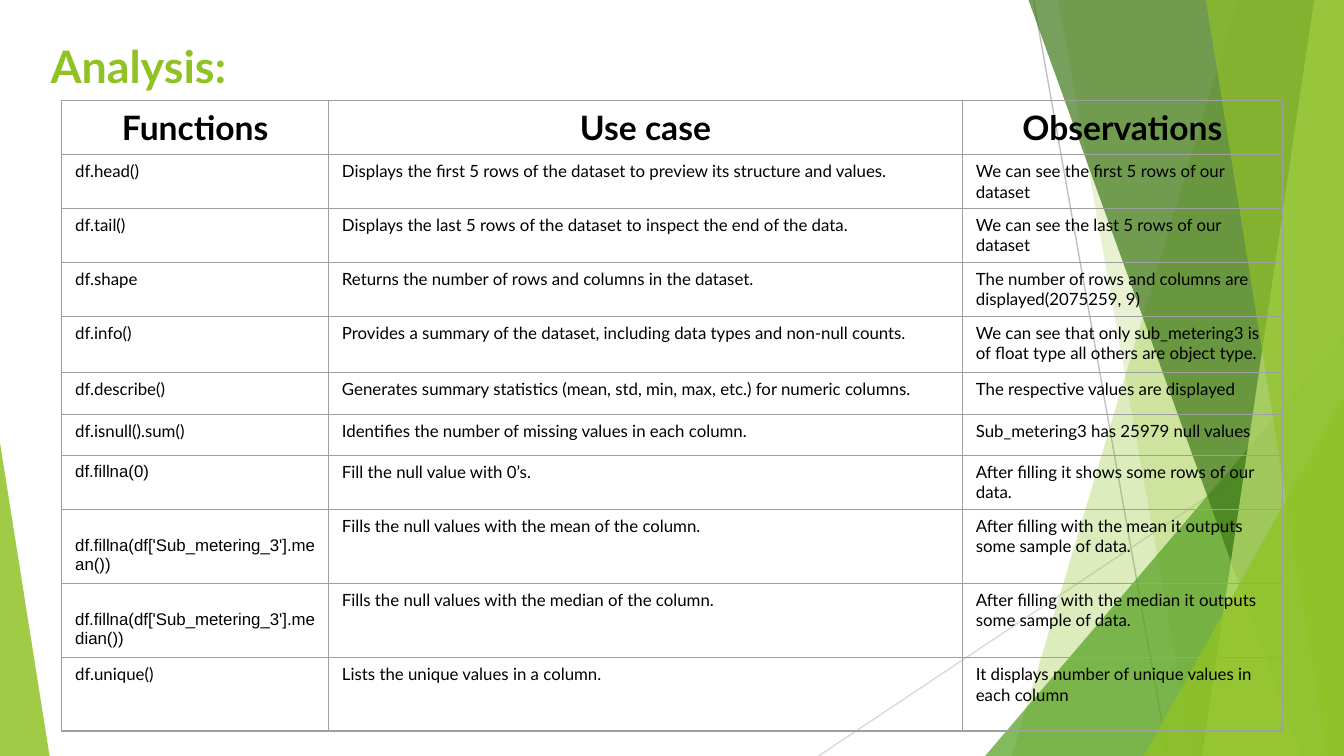
from lxml import etree
from pptx import Presentation
from pptx import util as u
from pptx.dml import color
from pptx.enum import shapes, text
from pptx.oxml import ns

Pt = u.Pt
GREEN = "90C226"
FONT = "Lato"
WIDTH, HEIGHT = 720, 405

HEADERS = ["Functions", "Use case", "Observations"]
COL_WIDTHS = [142.9, 339.6, 171.4]
ROWS = [
    (28.8, "df.head()",
     "Displays the first 5 rows of the dataset to preview its structure and values.",
     "We can see the first 5 rows of our dataset"),
    (28.8, "df.tail()",
     "Displays the last 5 rows of the dataset to inspect the end of the data.",
     "We can see the last 5 rows of our dataset"),
    (28.8, "df.shape",
     "Returns the number of rows and columns in the dataset.",
     "The number of rows and columns are displayed(2075259, 9)"),
    (30, "df.info()",
     "Provides a summary of the dataset, including data types and non-null counts.",
     "We can see that only sub_metering3 is of float type all others are object type."),
    (22.7, "df.describe()",
     "Generates summary statistics (mean, std, min, max, etc.) for numeric columns.",
     "The respective values are displayed"),
    (21.9, "df.isnull().sum()",
     "Identifies the number of missing values in each column.",
     "Sub_metering3 has 25979 null values"),
    (28.8, "df.fillna(0)",
     "Fill the null value with 0’s.",
     "After filling it shows some rows of our data."),
    (38.8, "df.fillna(df['Sub_metering_3'].mean())",
     "Fills the null values with the mean of the column.",
     "After filling with the mean it outputs some sample of data."),
    (39.4, "df.fillna(df['Sub_metering_3'].median())",
     "Fills the null values with the median of the column.",
     "After filling with the median it outputs some sample of data."),
    (39.4, "df.unique()",
     "Lists the unique values in a column.",
     "It displays number of unique values in each column"),
]


def rgb(value):
    return color.RGBColor.from_string(value)


def paint(sp, fill, opacity):
    sp.shadow.inherit = False
    sp.fill.solid()
    sp.fill.fore_color.rgb = rgb(fill)
    sp.line.fill.background()
    clr = sp.fill._xPr.find(".//" + ns.qn("a:srgbClr"))
    etree.SubElement(clr, ns.qn("a:alpha"), val=str(opacity * 1000))


def add_line(s, x1, y1, x2, y2, stroke):
    line = s.shapes.add_connector(
        shapes.MSO_CONNECTOR.STRAIGHT, Pt(x1), Pt(y1), Pt(x2), Pt(y2))
    line.line.color.rgb = rgb(stroke)
    line.line.width = Pt(0.75)
    etree.SubElement(line._element.spPr, ns.qn("a:effectLst"))


def add_band(s, right, top, bottom, x_top, x_bottom, fill, opacity):
    builder = s.shapes.build_freeform(x_top, top, scale=Pt(1))
    builder.add_line_segments([(right, top), (right, bottom), (x_bottom, bottom)])
    paint(builder.convert_to_shape(), fill, opacity)


def add_triangle(s, x, y, w, h, apex, fill, opacity):
    sp = s.shapes.add_shape(
        shapes.MSO_SHAPE.ISOSCELES_TRIANGLE, Pt(x), Pt(y), Pt(w), Pt(h))
    sp.adjustments[0] = apex
    paint(sp, fill, opacity)


def add_facets(s, x, y, w, h):
    right, bottom = x + w, y + h

    def band(from_right_top, from_right_bottom, fill, opacity):
        add_band(s, right, y, bottom, right - from_right_top,
                 right - from_right_bottom, fill, opacity)

    def corner(tw, th, fill, opacity):
        add_triangle(s, right - tw, bottom - th, tw, th, 1, fill, opacity)

    add_line(s, right - 166.3, y, right - 94.3, bottom, "BFBFBF")
    add_line(s, right, bottom - 187.5, right - 281.5, bottom, "D9D9D9")
    band(57, 178, GREEN, 30)
    band(152.6, 81.4, GREEN, 20)
    corner(192.2, 224.8, "54A021", 72)
    band(168.8, 23, "3F7819", 70)
    band(16, 76.3, "C0E474", 70)
    band(74.2, 8.6, GREEN, 65)
    corner(107.3, 193, GREEN, 80)
    add_triangle(s, x, bottom - 168, 26.6, 168, 0, GREEN, 85)


def add_title(s, x, y, w, h):
    tf = s.shapes.add_textbox(Pt(x), Pt(y), Pt(w), Pt(h)).text_frame
    tf.word_wrap = True
    tf.margin_left = tf.margin_right = tf.margin_top = tf.margin_bottom = Pt(7.2)
    p = tf.paragraphs[0]
    p.text = "Analysis:"
    p.font.name, p.font.size, p.font.bold = FONT, Pt(24), True
    p.font.color.rgb = rgb(GREEN)


def add_borders(cell):
    tc_pr = cell._tc.get_or_add_tcPr()
    for i, side in enumerate(("lnL", "lnR", "lnT", "lnB")):
        ln = etree.Element(ns.qn("a:" + side), w=str(Pt(0.75)))
        fill = etree.SubElement(ln, ns.qn("a:solidFill"))
        etree.SubElement(fill, ns.qn("a:srgbClr"), val="9E9E9E")
        tc_pr.insert(i, ln)


def fill_cell(cell, value, size, font=FONT, header=False):
    cell.fill.background()
    add_borders(cell)
    p = cell.text_frame.paragraphs[0]
    p.text = value
    p.alignment = text.PP_ALIGN.CENTER if header else text.PP_ALIGN.LEFT
    p.font.name, p.font.size, p.font.bold = font, Pt(size), header
    p.font.color.rgb = rgb("000000")


def add_functions_table(s, x, y):
    heights = [28.8] + [row[0] for row in ROWS]
    table = s.shapes.add_table(
        len(heights), len(HEADERS), Pt(x), Pt(y),
        Pt(sum(COL_WIDTHS)), Pt(sum(heights))).table
    table.first_row = table.horz_banding = False
    for column, width in zip(table.columns, COL_WIDTHS):
        column.width = Pt(width)
    for row, height in zip(table.rows, heights):
        row.height = Pt(height)
    for c, header in enumerate(HEADERS):
        fill_cell(table.cell(0, c), header, 18, header=True)
    for r, (_, *values) in enumerate(ROWS, 1):
        for c, value in enumerate(values):
            cell = table.cell(r, c)
            font = "Arial" if value.startswith("df.fillna") else FONT
            fill_cell(cell, value, 9, font)
            if value.startswith("df.fillna(df"):
                cell.margin_top = Pt(14.4)


def main():
    prs = Presentation()
    prs.slide_width, prs.slide_height = Pt(WIDTH), Pt(HEIGHT)
    s = prs.slides.add_slide(prs.slide_layouts[6])
    add_facets(s, 0, 0, WIDTH, HEIGHT)
    add_title(s, 20, 13.7, 607, 45.4)
    add_functions_table(s, 33.1, 54)
    prs.save("out.pptx")


if __name__ == "__main__":
    main()
